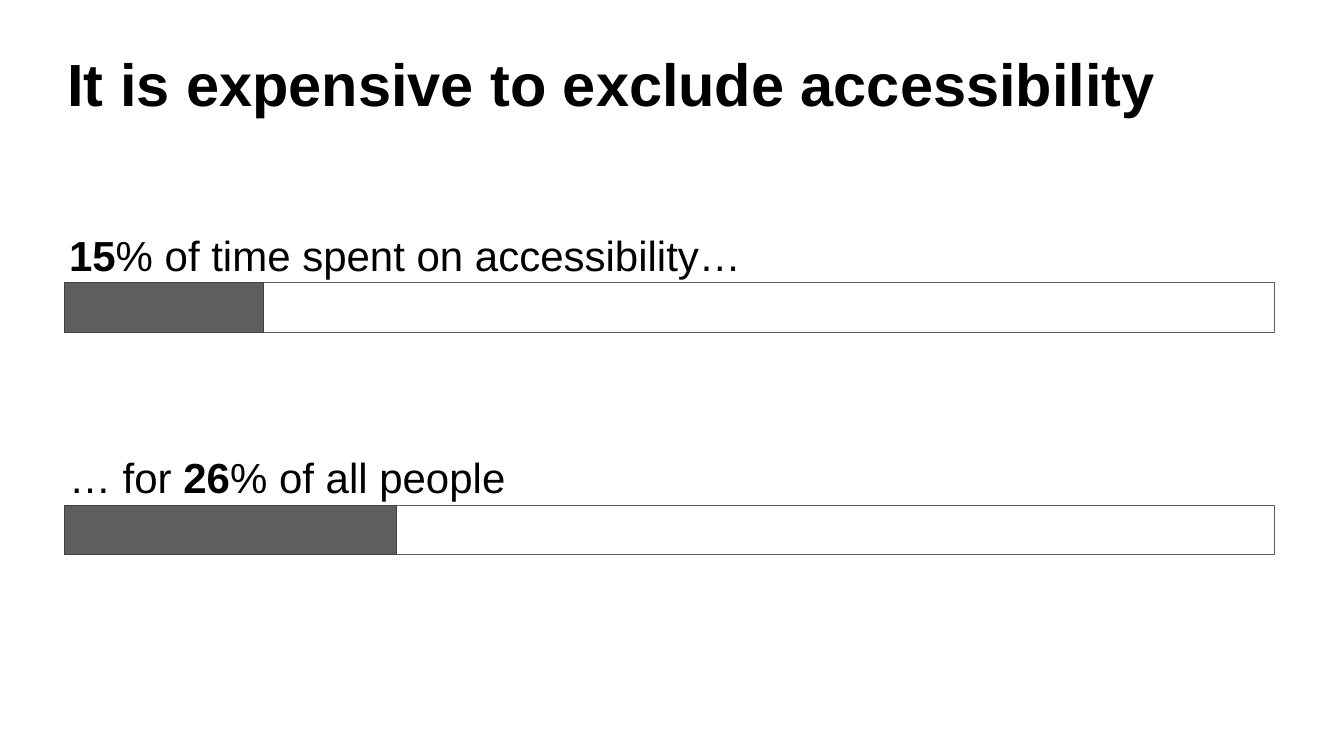
from pptx import Presentation
from pptx import util as u
from pptx.dml.color import RGBColor
from pptx.enum import shapes, text

COLORS = {"ink": "000000", "track": "FFFFFF", "fill": "5E5E5E", "fill_edge": "434343"}

# Grid: 24 one-inch columns inside the margin; the two bars repeat at a fixed pitch
COLUMN = u.Inches(1)
MARGIN = 1.28 * COLUMN
COLUMNS = 24
FIRST_BAR, PITCH, BAR_HEIGHT = 5.61 * COLUMN, 4.41 * COLUMN, 0.98 * COLUMN
LABEL_RISE = 0.93 * COLUMN

deck = Presentation()
deck.slide_width, deck.slide_height = u.Inches(26.67), u.Inches(15)
slide = deck.slides.add_slide(deck.slide_layouts[6])


def write(runs, left, top, width, height, size, anchor):
    """Add a one-line text box from (wording, bold) pairs."""
    box = slide.shapes.add_textbox(*map(int, (left, top, width, height)))
    frame = box.text_frame
    frame.word_wrap = True
    frame.vertical_anchor = anchor
    frame.margin_left = frame.margin_right = u.Inches(0.06)
    frame.margin_top = frame.margin_bottom = u.Inches(0.06)
    line = frame.paragraphs[0]
    line.line_spacing = 0.8
    for wording, bold in runs:
        run = line.add_run()
        run.text = wording
        run.font.name, run.font.size, run.font.bold = "Arial", u.Pt(size), bold
        run.font.color.rgb = RGBColor.from_string(COLORS["ink"])


# Title
write([("It is expensive to exclude accessibility", True)],
      MARGIN, 1.06 * COLUMN, 25.06 * COLUMN, 1.44 * COLUMN,
      size=85, anchor=text.MSO_ANCHOR.MIDDLE)

# Labelled bars: wording and filled columns
measures = [
    ([("15", True), ("% of time spent on accessibility…", False)], 3.95),
    ([("… for ", False), ("26", True), ("% of all people", False)], 6.59),
]
for row, (label, filled) in enumerate(measures):
    bar_top = FIRST_BAR + row * PITCH
    write(label, 1.31 * COLUMN, bar_top - LABEL_RISE, 24.85 * COLUMN, 1.67 * COLUMN,
          size=60, anchor=text.MSO_ANCHOR.TOP)

    bar = slide.shapes.add_group_shape()
    for columns, fill, edge in ((COLUMNS, "track", "fill"), (filled, "fill", "fill_edge")):
        part = bar.shapes.add_shape(shapes.MSO_SHAPE.RECTANGLE, int(MARGIN), int(bar_top),
                                    int(columns * COLUMN), int(BAR_HEIGHT))
        part.shadow.inherit = False
        part.fill.solid()
        part.fill.fore_color.rgb = RGBColor.from_string(COLORS[fill])
        part.line.color.rgb = RGBColor.from_string(COLORS[edge])
        part.line.width = u.Pt(0.75)

deck.save("out.pptx")
